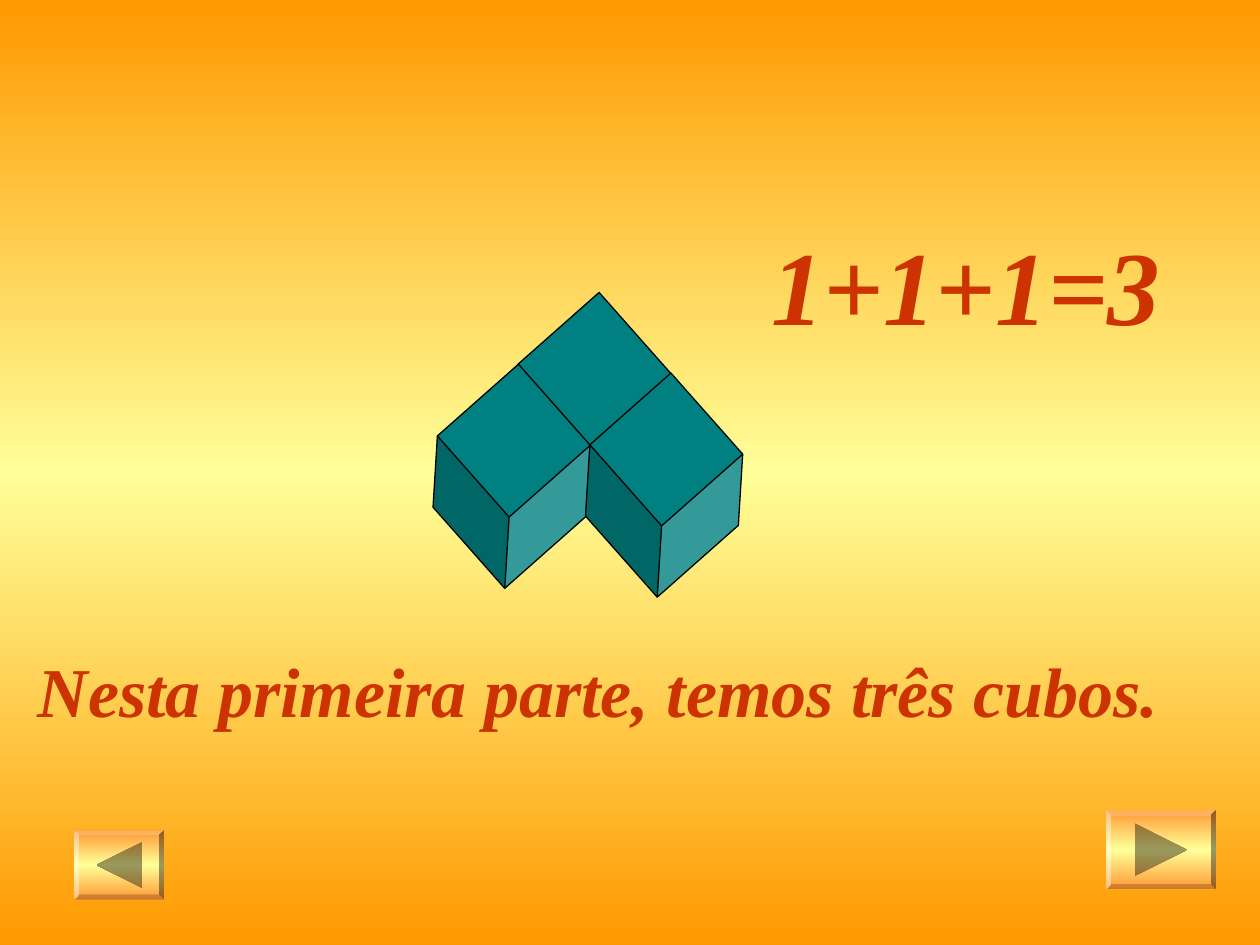
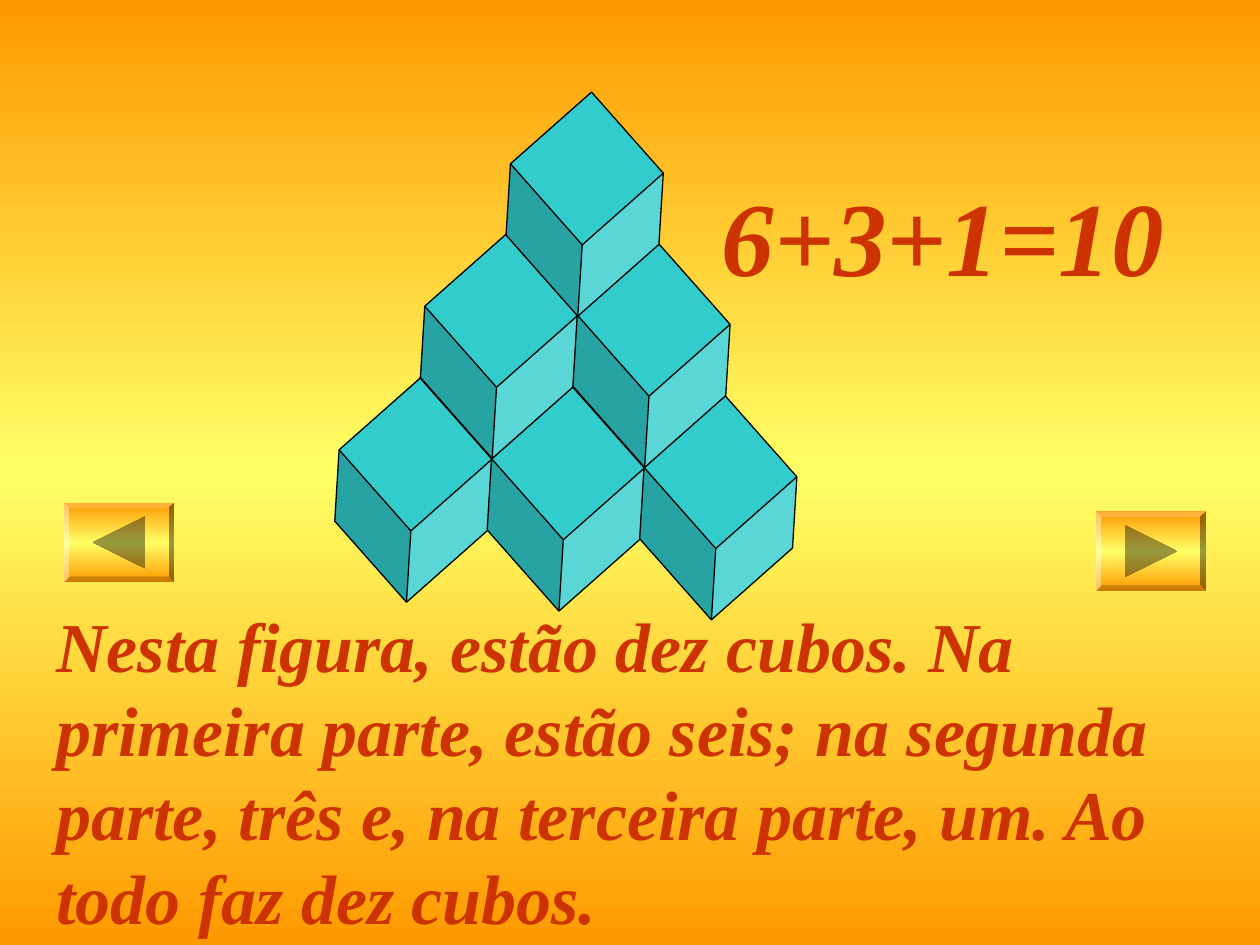
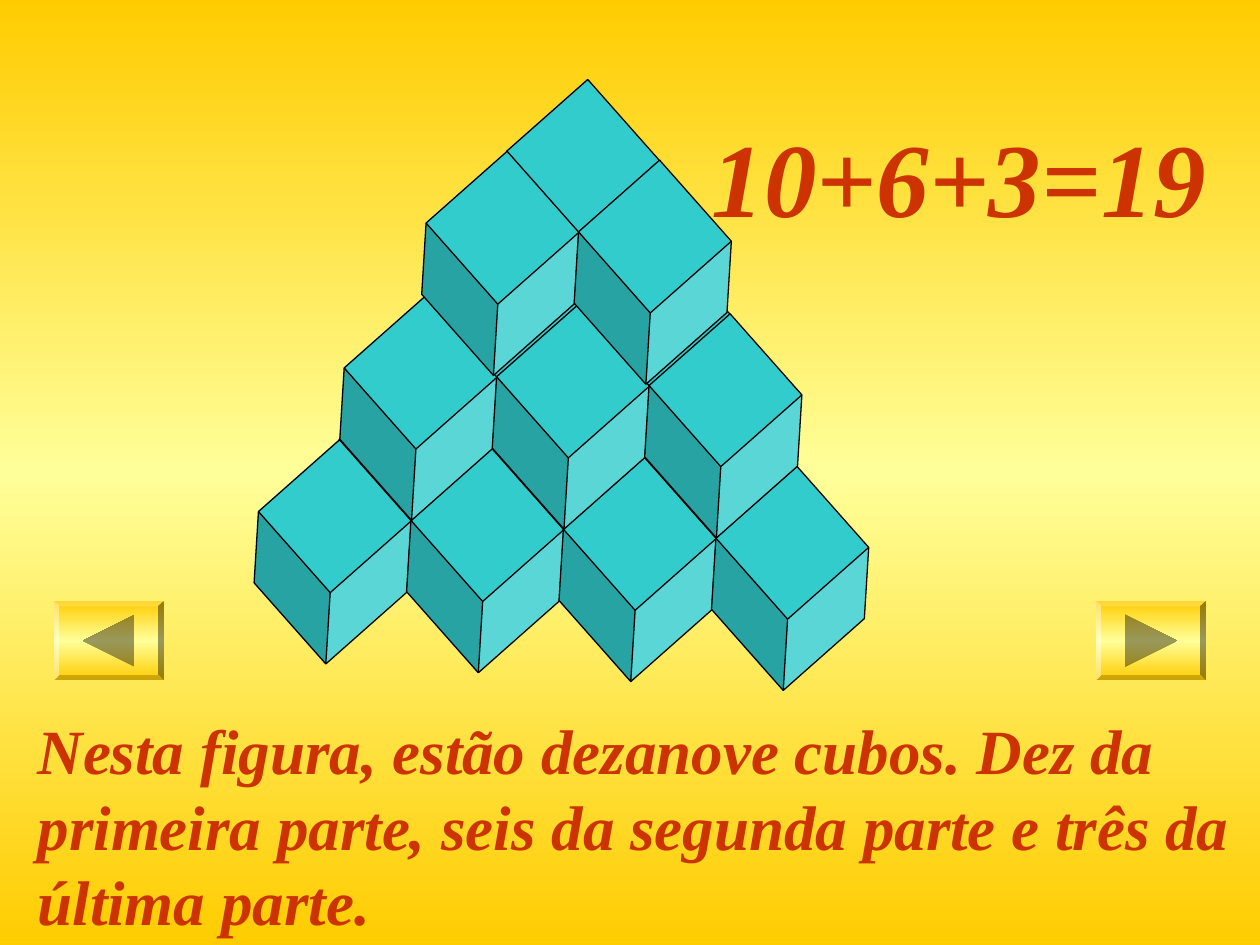
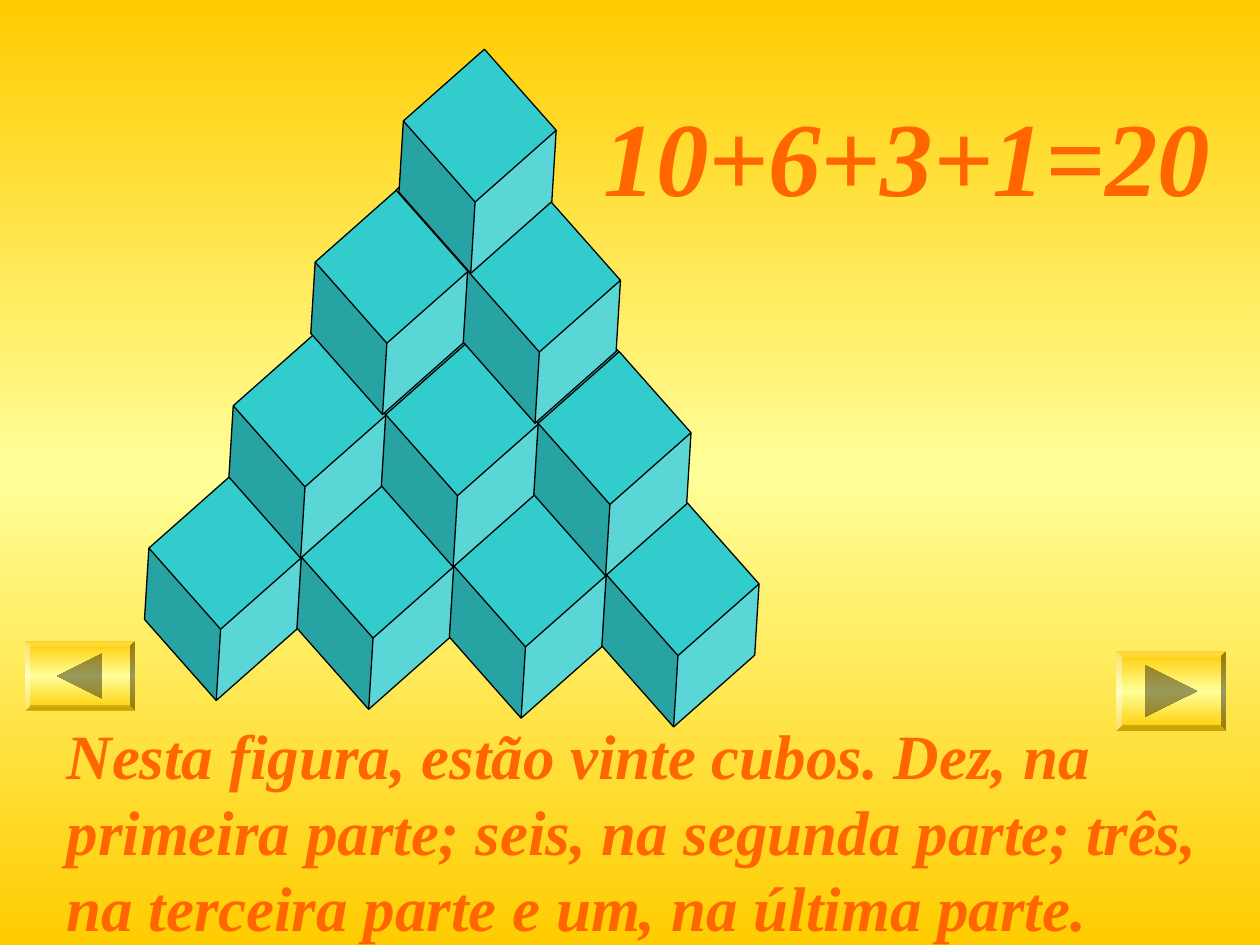
from copy import deepcopy
from dataclasses import dataclass

from lxml import etree
from pptx import Presentation
from pptx.dml.color import RGBColor
from pptx.enum import shapes, text
from pptx.oxml import ns
from pptx.util import Inches, Pt


@dataclass(frozen=True)
class Theme:
    font: str = "Times New Roman"
    equation_size: int = 60
    large: int = 40
    medium: int = 36
    red: str = "CC3300"
    orange: str = "FF6600"
    teal: str = "008080"
    turquoise: str = "33CCCC"
    outline: str = "000000"
    # Each gradient runs edge, middle, edge from top to bottom
    amber: tuple = ("FF9900", "FFFF99")
    peach: tuple = ("FF9933", "FFFF99")
    vivid: tuple = ("FF9900", "FFFF66")
    gold: tuple = ("FFCC00", "FFFF99")


THEME = Theme()
TITLE_ONLY = 5
CUBE_SIZE = 1.26
LEFT_STEP = (-0.64, 0.57)
RIGHT_STEP = (0.57, 0.64)
FACE_SHADES = ("norm", "lightenLess", "darken", "darkenLess", "lighten", "darken")

SLIDES = [
    dict(
        gradient=THEME.amber, button_gradient=THEME.peach,
        cube_color=THEME.teal, layers=[(4.07, 2.58, 2)], grouped=False,
        equation="1+1+1=3", equation_box=(6.02, 1.7, 3.31, 1.1),
        caption="Nesta primeira parte, temos três cubos.",
        caption_box=(0.2, 5.09, 9.45, 0.77), caption_size=THEME.large,
        next_box=(8.78, 6.43, 0.87, 0.63), back_box=(0.59, 6.59, 0.71, 0.55),
    ),
    dict(
        gradient=THEME.vivid,
        layers=[(3.93, 2.12, 3), (3.97, 1.55, 2), (4.01, 0.99, 1)],
        equation="6+3+1=10", equation_box=(5.63, 1.31, 4.02, 1.1),
        caption="Nesta figura, estão dez cubos. Na primeira parte, estão seis; "
                "na segunda parte, três e, na terceira parte, um. "
                "Ao todo faz dez cubos.",
        caption_box=(0.35, 4.73, 9.14, 2.77), caption_size=THEME.large,
        next_box=(8.7, 4.06, 0.87, 0.63), back_box=(0.51, 3.99, 0.87, 0.63),
    ),
    dict(
        gradient=THEME.gold,
        layers=[(3.93, 2.04, 4), (3.97, 1.47, 3), (3.98, 0.89, 2)],
        equation="10+6+3=19", equation_box=(5.55, 0.84, 4.17, 1.1),
        caption="Nesta figura, estão dezanove cubos. Dez da primeira parte, "
                "seis da segunda parte e três da última parte.",
        caption_box=(0.2, 5.6, 9.8, 1.9),
        next_box=(8.7, 4.77, 0.87, 0.63), back_box=(0.43, 4.77, 0.87, 0.63),
    ),
    dict(
        gradient=THEME.gold,
        layers=[(3.06, 2.33, 4), (3.09, 1.77, 3), (3.1, 1.2, 2), (3.16, 0.65, 1)],
        equation="10+6+3+1=20", equation_box=(4.69, 0.68, 5.08, 1.1),
        caption="Nesta figura, estão vinte cubos. Dez, na primeira parte; "
                "seis, na segunda parte; três, na terceira parte e um, "
                "na última parte.",
        caption_box=(0.43, 5.64, 9.29, 1.9), text_color=THEME.orange,
        next_box=(8.86, 5.17, 0.87, 0.63), back_box=(0.2, 5.09, 0.87, 0.55),
    ),
]


def rgb(value):
    return RGBColor.from_string(value)


def fill_gradient(fill, owner, colors):
    """Give fill, which belongs to the XML element owner, a three-stop gradient."""
    edge, middle = colors
    fill.gradient()
    fill.gradient_angle = 270
    for stop in fill.gradient_stops:
        stop.color.rgb = rgb(edge)
    stop_list = owner.find(".//" + ns.qn("a:gsLst"))
    stop_list.insert(1, deepcopy(stop_list[0]))
    center = fill.gradient_stops[1]
    center.position = 0.5
    center.color.rgb = rgb(middle)


def write(holder, box, words, *, size, color):
    """Place a text holder in box and set its one bold italic paragraph."""
    holder.left, holder.top, holder.width, holder.height = map(Inches, box)
    frame = holder.text_frame
    frame.text = words
    frame.word_wrap = True
    frame.auto_size = text.MSO_AUTO_SIZE.SHAPE_TO_FIT_TEXT
    frame.vertical_anchor = text.MSO_ANCHOR.TOP
    paragraph = frame.paragraphs[0]
    paragraph.alignment = text.PP_ALIGN.LEFT
    paragraph.line_spacing = 1.0
    paragraph.space_before = Pt(0)
    font = paragraph.runs[0].font
    font.name, font.size, font.color.rgb = THEME.font, Pt(size), rgb(color)
    font.bold = font.italic = True


def add_cube(parent, left, top, color):
    cube = parent.add_shape(
        shapes.MSO_SHAPE.CUBE, *map(Inches, (left, top, CUBE_SIZE, CUBE_SIZE)))
    cube.adjustments[0] = 0.318
    cube.rotation = 138.5
    cube.shadow.inherit = False
    cube.fill.solid()
    cube.fill.fore_color.rgb = rgb(color)
    cube.line.color.rgb = rgb(THEME.outline)
    cube.line.width = Pt(0.75)


def add_layer(slide, left, top, rows, color, grouped):
    """Draw a triangle of cubes, from the corner at (left, top) to the front row."""
    parent = slide.shapes
    if grouped and rows > 1:
        parent = parent.add_group_shape().shapes
    for row in range(rows):
        for right in range(row + 1):
            x, y = (start + (row - right) * to_left + right * to_right
                    for start, to_left, to_right
                    in zip((left, top), LEFT_STEP, RIGHT_STEP))
            add_cube(parent, x, y, color)


def shade_faces(button):
    """Split the outline into one part per face and shade each part."""
    outlines = button._element.find(".//" + ns.qn("a:pathLst"))
    whole = outlines[0]
    shades = iter(FACE_SHADES)
    for step in list(whole):
        if step.tag == ns.qn("a:moveTo"):
            face = etree.SubElement(outlines, whole.tag, dict(whole.attrib))
            face.set("fill", next(shades))
        face.append(step)
    outlines.remove(whole)


def add_button(slide, box, direction, colors):
    """Draw a bevelled button; direction is 1 for next and -1 for back."""
    left, top, width, height = box
    right, bottom = left + width, top + height
    bevel, half = height / 15, 0.325 * height
    middle_x, middle_y = left + width / 2, top + height / 2
    outer = [(left, top), (right, top), (right, bottom), (left, bottom)]
    inner = [(left + bevel, top + bevel), (right - bevel, top + bevel),
             (right - bevel, bottom - bevel), (left + bevel, bottom - bevel)]
    sides = [[outer[i], outer[(i + 1) % 4], inner[(i + 1) % 4], inner[i]]
             for i in range(4)]
    base = middle_x - direction * half
    arrow = [(middle_x + direction * half, middle_y),
             (base, middle_y - half), (base, middle_y + half)]

    builder = slide.shapes.build_freeform(Inches(left), Inches(top), scale=1.0)
    for face in [outer, *sides, arrow]:
        start, *others = [(Inches(x), Inches(y)) for x, y in face]
        if face is not outer:
            builder.move_to(*start)
        builder.add_line_segments(others, close=True)
    button = builder.convert_to_shape()
    shade_faces(button)
    button.shadow.inherit = False
    button.line.fill.background()
    fill_gradient(button.fill, button._element, colors)


def add_cube_slide(deck, *, gradient, layers, equation, equation_box, caption,
                   caption_box, next_box, back_box, button_gradient=None,
                   cube_color=THEME.turquoise, grouped=True,
                   caption_size=THEME.medium, text_color=THEME.red):
    slide = deck.slides.add_slide(deck.slide_layouts[TITLE_ONLY])
    fill_gradient(slide.background.fill, slide._element, gradient)
    for left, top, rows in layers:
        add_layer(slide, left, top, rows, cube_color, grouped)
    caption_holder = slide.shapes.add_textbox(*map(Inches, caption_box))
    write(caption_holder, caption_box, caption, size=caption_size, color=text_color)
    write(slide.shapes.title, equation_box, equation,
          size=THEME.equation_size, color=text_color)
    for box, direction in ((next_box, 1), (back_box, -1)):
        add_button(slide, box, direction, button_gradient or gradient)


def main():
    deck = Presentation()
    deck.slide_width, deck.slide_height = Inches(10), Inches(7.5)
    for content in SLIDES:
        add_cube_slide(deck, **content)
    deck.save("out.pptx")


if __name__ == "__main__":
    main()
